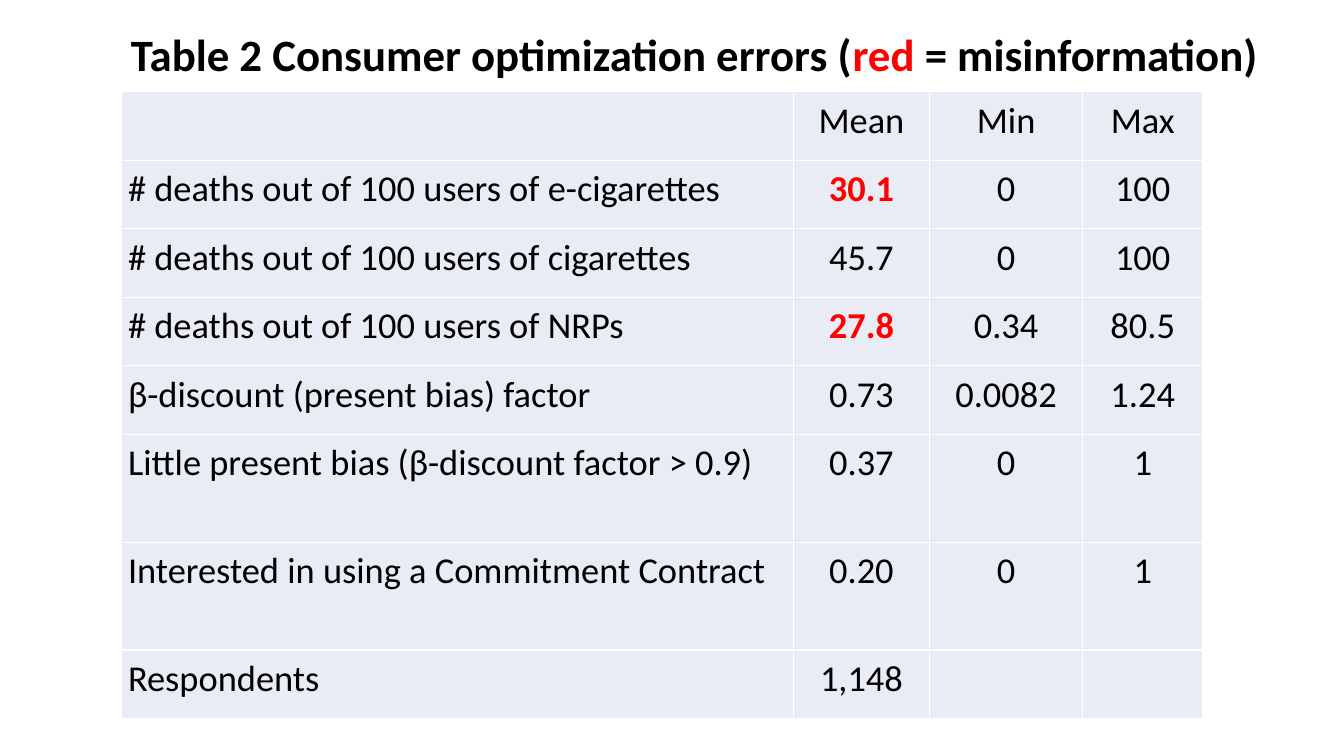
from lxml.etree import SubElement
from pptx import Presentation
from pptx.dml.color import RGBColor
from pptx.enum.text import MSO_ANCHOR, MSO_AUTO_SIZE, PP_ALIGN
from pptx.oxml.ns import qn
from pptx.util import Inches, Pt

BLACK = RGBColor(0x00, 0x00, 0x00)
RED = RGBColor(0xFF, 0x00, 0x00)
WHITE = RGBColor(0xFF, 0xFF, 0xFF)
PALE = RGBColor(0xE9, 0xEB, 0xF5)

TITLE = [
    ("Table 2 Consumer optimization errors (", BLACK),
    ("red", RED),
    (" = misinformation)", BLACK),
]
ROWS = [
    ("", "Mean", "Min", "Max"),
    ("# deaths out of 100 users of e-cigarettes", "30.1", "0", "100"),
    ("# deaths out of 100 users of cigarettes", "45.7", "0", "100"),
    ("# deaths out of 100 users of NRPs", "27.8", "0.34", "80.5"),
    ("β-discount (present bias) factor", "0.73", "0.0082", "1.24"),
    ("Little present bias (β-discount factor > 0.9)", "0.37", "0", "1"),
    ("Interested in using a Commitment Contract", "0.20", "0", "1"),
    ("Respondents", "1,148", "", ""),
]
WRONG = {"30.1", "27.8"}  # means shown as misinformation
WIDTHS = [6.67, 1.35, 1.52, 1.19]
HEIGHTS = [0.68] * 5 + [1.07] * 2 + [0.68]


class Deck:
    """Holds the style and the current slide."""

    font = "Calibri"

    def __init__(self, slide):
        self.slide = slide

    def title(self, parts, left, top, width, height):
        box = self.slide.shapes.add_textbox(
            Inches(left), Inches(top), Inches(width), Inches(height))
        frame = box.text_frame
        frame.word_wrap = True
        frame.auto_size = MSO_AUTO_SIZE.SHAPE_TO_FIT_TEXT
        frame.vertical_anchor = MSO_ANCHOR.MIDDLE
        para = frame.paragraphs[0]
        para.font.name = self.font
        para.font.size = Pt(32)
        para.font.bold = True
        for text, color in parts:
            run = para.add_run()
            run.text = text
            run.font.color.rgb = color

    def table(self, rows, left, top, widths, heights):
        table = self.slide.shapes.add_table(
            len(rows), len(widths), Inches(left), Inches(top),
            Inches(sum(widths)), Inches(sum(heights))).table
        table.first_row = False
        table.horz_banding = False
        for column, width in zip(table.columns, widths):
            column.width = Inches(width)
        for row, height, texts in zip(table.rows, heights, rows):
            row.height = Inches(height)
            for col, (cell, text) in enumerate(zip(row.cells, texts)):
                self.cell(cell, text, col > 0)

    def cell(self, cell, text, center):
        self.border(cell)
        cell.fill.solid()
        cell.fill.fore_color.rgb = PALE
        if not text:
            return
        cell.margin_left = cell.margin_right = Inches(0.07)
        cell.margin_top = cell.margin_bottom = 0
        cell.text = text
        para = cell.text_frame.paragraphs[0]
        para.alignment = PP_ALIGN.CENTER if center else PP_ALIGN.LEFT
        para.line_spacing = 1.15
        para.font.name = self.font
        para.font.size = Pt(26)
        para.font.bold = text in WRONG
        para.font.color.rgb = RED if text in WRONG else BLACK

    def border(self, cell):
        props = cell._tc.get_or_add_tcPr()
        for side in ("a:lnL", "a:lnR", "a:lnT", "a:lnB"):
            line = SubElement(props, qn(side), w=str(Pt(1)))
            fill = SubElement(line, qn("a:solidFill"))
            SubElement(fill, qn("a:srgbClr"), val=str(WHITE))


def main():
    show = Presentation()
    show.slide_width = Inches(13.33)
    show.slide_height = Inches(7.5)
    deck = Deck(show.slides.add_slide(show.slide_layouts[6]))

    # Table of errors
    deck.table(ROWS, 1.2, 0.91, WIDTHS, HEIGHTS)

    # Heading
    deck.title(TITLE, 1.2, 0.21, 26, 0.64)

    show.save("out.pptx")


if __name__ == "__main__":
    main()
